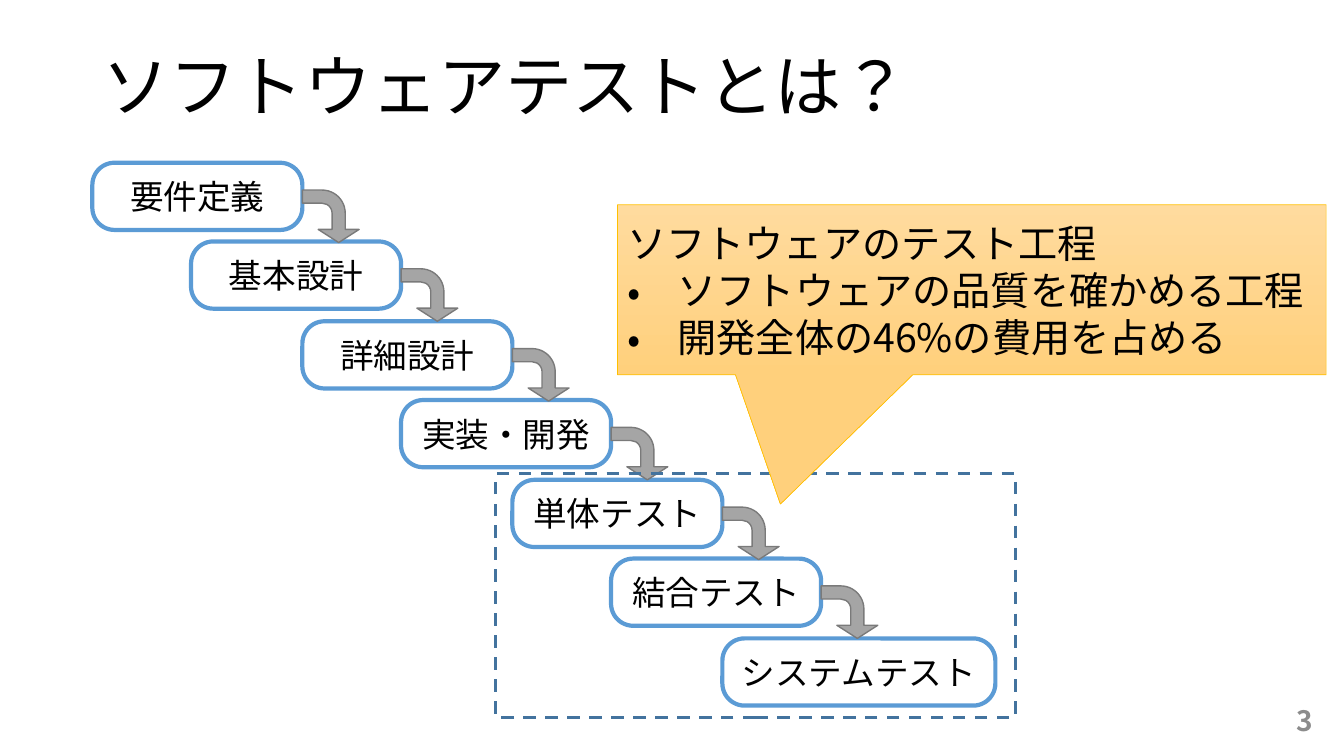
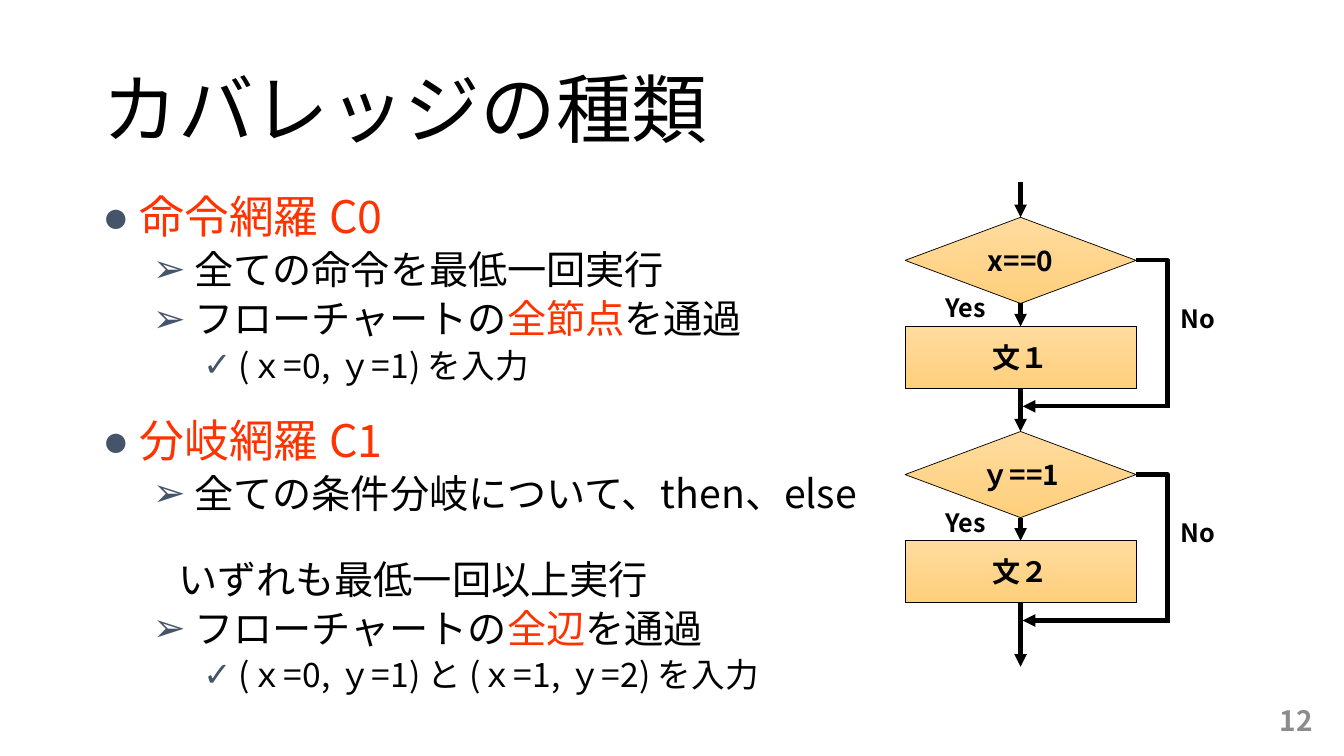
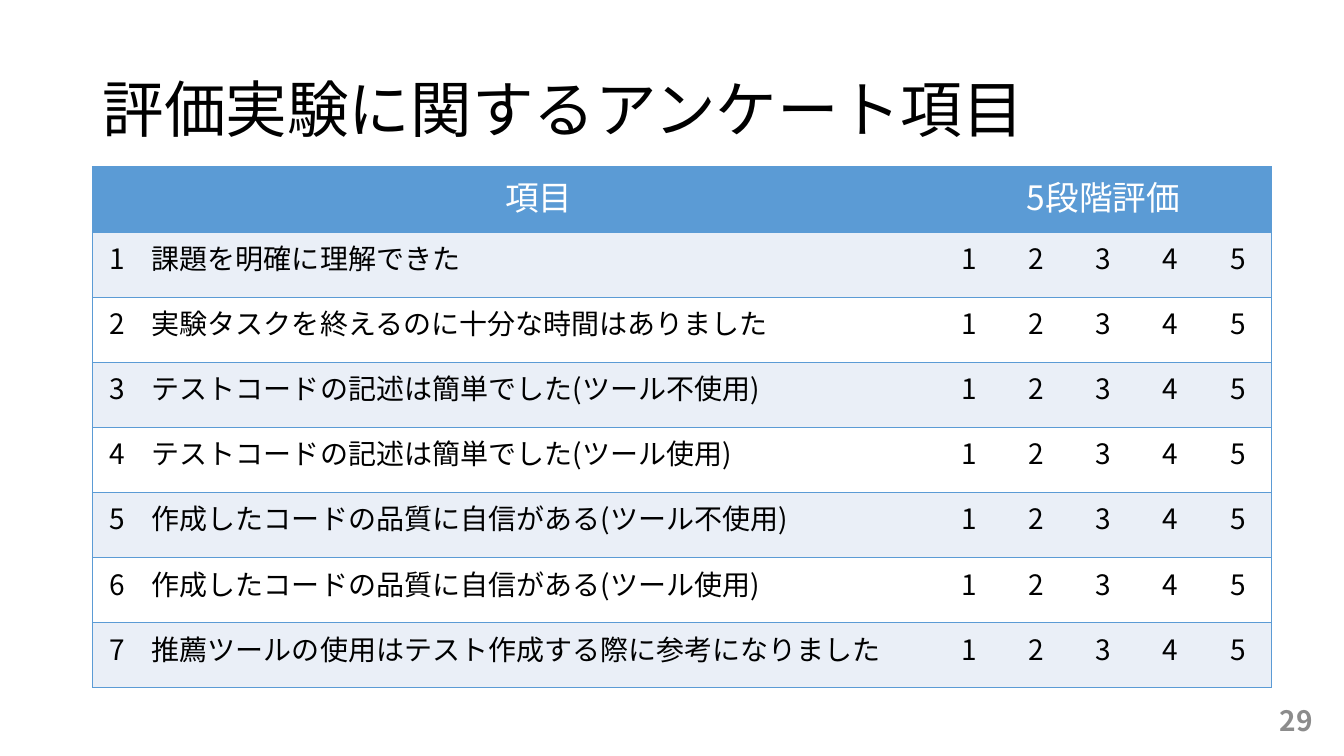
from dataclasses import dataclass
from typing import Any, NamedTuple

from pptx import Presentation, util as u
from pptx.dml.color import RGBColor
from pptx.enum import dml, lang, shapes, text
from pptx.oxml import ns, xmlchemy as xc

FONT = "Noto Sans CJK JP"
HEX = {
    "ink": "000000", "paper": "FFFFFF", "blue": "5B9BD5", "navy": "43739E",
    "band": "EAEFF7", "grey": "A5A5A5", "edge": "7A7A7A", "page": "8C8C8C",
    "red": "FF3300", "mark": "44546A", "gold": "FFC000",
    "light": "FFDB9E", "deep": "FFD07C",
}
KIND = shapes.MSO_SHAPE
LEFT, MID, RIGHT = text.PP_ALIGN.LEFT, text.PP_ALIGN.CENTER, text.PP_ALIGN.RIGHT
PLAIN_GRID = "{2D5ABB26-0587-4C30-8999-92F81FD0307C}"


class Box(NamedTuple):
    x: int
    y: int
    w: int
    h: int


class Run(NamedTuple):
    words: str
    color: str = "ink"


@dataclass
class Para:
    runs: list[Run]
    size: int
    align: Any = LEFT
    bold: bool = False
    level: int = 0
    hang: tuple[int, int] | None = None
    mark: str = ""
    tint: str = ""
    lines: float | None = None
    before: int = 0


@dataclass
class Look:
    """Outline and fill; a fill of "warm" is the orange gradient."""
    fill: str
    line: str
    width: float
    dash: bool = False


STEP = Look("paper", "blue", 3)
TURN = Look("grey", "edge", 1)
FRAME = Look("", "navy", 2.25, True)
NOTE = Look("warm", "gold", 0.5)
NODE = Look("warm", "ink", 0.5)


def px(n: int) -> u.Emu:
    return u.Emu(n * 9525)


def place(box: Box) -> list[u.Emu]:
    return [px(n) for n in box]


def rgb(name: str) -> RGBColor:
    return RGBColor.from_string(HEX[name])


def sub(node: Any, tag: str, **attrs: Any) -> Any:
    """Append a child element with the given attributes."""
    kid = xc.OxmlElement(tag)
    for key, val in attrs.items():
        kid.set(key, str(val))
    node.append(kid)
    return kid


def write(frame: Any, paras: list[Para]) -> None:
    for i, item in enumerate(paras):
        para = frame.paragraphs[0] if i == 0 else frame.add_paragraph()
        para.alignment, para.level = item.align, item.level
        para.line_spacing = item.lines
        para.space_before = u.Pt(item.before)
        props = para._p.get_or_add_pPr()
        if item.hang:
            for key, n in zip(("marL", "indent"), item.hang):
                props.set(key, str(px(n)))
        if item.tint:
            sub(sub(props, "a:buClr"), "a:srgbClr", val=HEX[item.tint])
        elif item.mark:
            sub(props, "a:buFont", typeface=FONT)
        if item.mark:
            sub(props, "a:buChar", char=item.mark)
        else:
            sub(props, "a:buNone")
        for part in item.runs:
            run = para.add_run()
            run.text = part.words
            font = run.font
            font.size, font.bold = u.Pt(item.size), item.bold
            font.color.rgb, font.name = rgb(part.color), FONT
            font.language_id = lang.MSO_LANGUAGE_ID.JAPANESE
            sub(run._r.get_or_add_rPr(), "a:ea", typeface=FONT)


def fill_in(holder: Any, box: Box, paras: list[Para], anchor: Any) -> None:
    """Move a placeholder and write its text."""
    holder.left, holder.top, holder.width, holder.height = place(box)
    frame = holder.text_frame
    frame.auto_size = text.MSO_AUTO_SIZE.NONE
    frame.word_wrap, frame.vertical_anchor = True, anchor
    write(frame, paras)


def label(slide: Any, box: Box, para: Para, anchor: Any = text.MSO_ANCHOR.TOP) -> None:
    frame = slide.shapes.add_textbox(*place(box)).text_frame
    frame.word_wrap, frame.vertical_anchor = True, anchor
    write(frame, [para])


def start(deck: Any, layout: int, title: str, size: int, page: int, top: int = 38) -> Any:
    """Add a slide with its title and page number."""
    slide = deck.slides.add_slide(deck.slide_layouts[layout])
    middle = text.MSO_ANCHOR.MIDDLE
    fill_in(slide.shapes.title, Box(88, top, 1104, 139),
            [Para([Run(title)], size, lines=0.9)], middle)
    label(slide, Box(972, 667, 288, 38),
          Para([Run(str(page), "page")], 20, RIGHT, True), middle)
    return slide


def draw(slide: Any, kind: Any, box: Box, look: Look,
         paras: list[Para] | None = None, adj: tuple[float, ...] = ()) -> Any:
    shape = slide.shapes.add_shape(kind, *place(box))
    shape.shadow.inherit = False
    for i, val in enumerate(adj):
        shape.adjustments[i] = val
    fill = shape.fill
    if look.fill == "warm":
        fill.gradient()
        fill.gradient_angle = 270
        for stop, name in zip(fill.gradient_stops, ("light", "deep")):
            stop.color.rgb = rgb(name)
    elif look.fill:
        fill.solid()
        fill.fore_color.rgb = rgb(look.fill)
    else:
        fill.background()
    shape.line.color.rgb, shape.line.width = rgb(look.line), u.Pt(look.width)
    if look.dash:
        shape.line.dash_style = dml.MSO_LINE.DASH
    if paras:
        shape.text_frame.vertical_anchor = text.MSO_ANCHOR.MIDDLE
        write(shape.text_frame, paras)
    return shape


def link(slide: Any, x: int, y: int, to_x: int, to_y: int, bent: bool = False) -> None:
    """Draw a straight arrow, or a bent line without a head."""
    kind = shapes.MSO_CONNECTOR.ELBOW if bent else shapes.MSO_CONNECTOR.STRAIGHT
    line = slide.shapes.add_connector(kind, px(x), px(y), px(to_x), px(to_y))
    line.line.color.rgb, line.line.width = rgb("ink"), u.Pt(3)
    props = line.element.spPr
    if bent:
        props.find(ns.qn("a:prstGeom")).set("prst", "bentConnector2")
    else:
        sub(line.line._get_or_add_ln(), "a:tailEnd", type="triangle")
    sub(props, "a:effectLst")


def steps(deck: Any) -> None:
    slide = start(deck, 5, "ソフトウェアテストとは？", 48, 3, 16)
    names = ["要件定義", "基本設計", "詳細設計", "実装・開発",
             "単体テスト", "結合テスト", "システムテスト"]
    last = len(names) - 1
    spots = [(88 + 200 * (i // 2) + 94 * (i % 2), 155 + 151 * i // 2)
             for i in range(len(names))]
    for i, (name, (x, y)) in enumerate(zip(names, spots)):
        draw(slide, KIND.ROUNDED_RECTANGLE, Box(x, y, 260 if i == last else 200, 64),
             STEP, [Para([Run(name)], 24, MID)], (0.33,))
    for x, y in spots[:last]:
        turn = draw(slide, KIND.BENT_ARROW, Box(x + 202, y + 24, 50, 54), TURN,
                    adj=(0.25, 0.39, 0.25, 0.44))
        turn.rotation = 90
    draw(slide, KIND.RECTANGLE, Box(472, 451, 495, 232), FRAME)
    points = ["ソフトウェアの品質を確かめる工程", "開発全体の46%の費用を占める"]
    draw(slide, KIND.RECTANGULAR_CALLOUT, Box(588, 195, 675, 162), NOTE,
         [Para([Run("ソフトウェアのテスト工程")], 28)]
         + [Para([Run(point)], 28, hang=(48, -48), mark="•") for point in points],
         (-0.27, 1.26))


def item(level: int, *runs: Run, before: int = 5, mark: bool = True) -> Para:
    """Make one list paragraph in the style of its level."""
    return Para(list(runs), (32, 28, 24)[level], level=level,
                hang=(24 + 48 * level, -24 if mark else 0),
                mark="●➢✓"[level] if mark else "",
                tint="mark" if mark else "", lines=0.9, before=before)


def flow(slide: Any, top: int, test: str, act: str, end: int) -> None:
    """Draw one branch of the chart, with its way out down to end."""
    mid, left, wide = 972, 862, 220
    for kind, y, h, words in ((KIND.FLOWCHART_DECISION, top, 82, test),
                              (KIND.RECTANGLE, top + 104, 59, act)):
        draw(slide, kind, Box(left, y, wide, h), NODE,
             [Para([Run(words)], 20, MID, True)])
    join = top + 180
    link(slide, mid, top + 82, mid, top + 104)
    link(slide, left + wide, top + 41, 1112, join, True)
    link(slide, 1114, join, mid + 2, join)
    link(slide, mid, top + 163, mid, end)
    for words, x, y in (("Yes", 891, top + 67), ("No", 1115, top + 77)):
        label(slide, Box(x, y, 70, 38), Para([Run(words)], 18, bold=True))


def cover(deck: Any) -> None:
    slide = start(deck, 1, "カバレッジの種類", 54, 12)
    fill_in(slide.placeholders[1], Box(88, 181, 766, 481), [
        item(0, Run(" "), Run("命令網羅 C0", "red"), before=0),
        item(1, Run(" 全ての命令を最低一回実行")),
        item(1, Run(" フローチャートの"), Run("全節点", "red"), Run("を通過")),
        item(2, Run(" (ｘ=0, ｙ=1) を入力")),
        item(0, Run(" "), Run("分岐網羅 C1", "red"), before=24),
        item(1, Run(" 全ての条件分岐について、then、else")),
        item(1, Run("いずれも最低一回以上実行"), before=31, mark=False),
        item(1, Run(" フローチャートの"), Run("全辺", "red"), Run("を通過")),
        item(2, Run(" (ｘ=0, ｙ=1) と (ｘ=1, ｙ=2) を入力")),
    ], text.MSO_ANCHOR.TOP)
    link(slide, 972, 173, 972, 207)
    flow(slide, 207, "x==0", "文１", 411)
    flow(slide, 411, "ｙ==1", "文２", 635)


def cell_in(cell: Any, words: str, size: int, align: Any, ink: str,
            fill: str, sides: str) -> None:
    props = cell._tc.get_or_add_tcPr()
    for side in sides:
        line = sub(props, f"a:ln{side}", w=u.Pt(1))
        sub(sub(line, "a:solidFill"), "a:srgbClr", val=HEX["blue"])
    cell.fill.solid()
    cell.fill.fore_color.rgb = rgb(fill)
    if words:
        write(cell.text_frame, [Para([Run(words, ink)], size, align)])


def survey(deck: Any) -> None:
    slide = start(deck, 5, "評価実験に関するアンケート項目", 44, 29)
    asks = ["課題を明確に理解できた", "実験タスクを終えるのに十分な時間はありました",
            "テストコードの記述は簡単でした(ツール不使用)",
            "テストコードの記述は簡単でした(ツール使用)",
            "作成したコードの品質に自信がある(ツール不使用)",
            "作成したコードの品質に自信がある(ツール使用)",
            "推薦ツールの使用はテスト作成する際に参考になりました"]
    marks = [str(n) for n in range(1, 6)]
    rows = [["", "項目", "5段階評価", "", "", "", ""]]
    rows += [[str(n), ask, *marks] for n, ask in enumerate(asks, 1)]
    wide = [47, 756] + [64] * len(marks)
    table = slide.shapes.add_table(
        len(rows), len(wide), *place(Box(88, 159, sum(wide), 62 * len(rows)))).table
    table.first_row = table.horz_banding = False
    table._tbl.tblPr.find(ns.qn("a:tableStyleId")).text = PLAIN_GRID
    for col, w in zip(table.columns, wide):
        col.width = px(w)
    end = len(wide) - 1
    table.cell(0, 2).merge(table.cell(0, end))
    for r, row in enumerate(rows):
        fill = "blue" if r == 0 else "band" if r % 2 else "paper"
        size, ink = (20, "ink") if r else (24, "paper")
        for c, words in enumerate(row):
            sides = "L" * (c == 0) + "R" * (c >= (end if r else 2)) + "TB"
            cell_in(table.cell(r, c), words, size, LEFT if r and c == 1 else MID,
                    ink, fill, sides)


def main() -> None:
    deck = Presentation()
    deck.slide_width, deck.slide_height = px(1280), px(720)
    steps(deck)
    cover(deck)
    survey(deck)
    deck.save("out.pptx")


if __name__ == "__main__":
    main()
